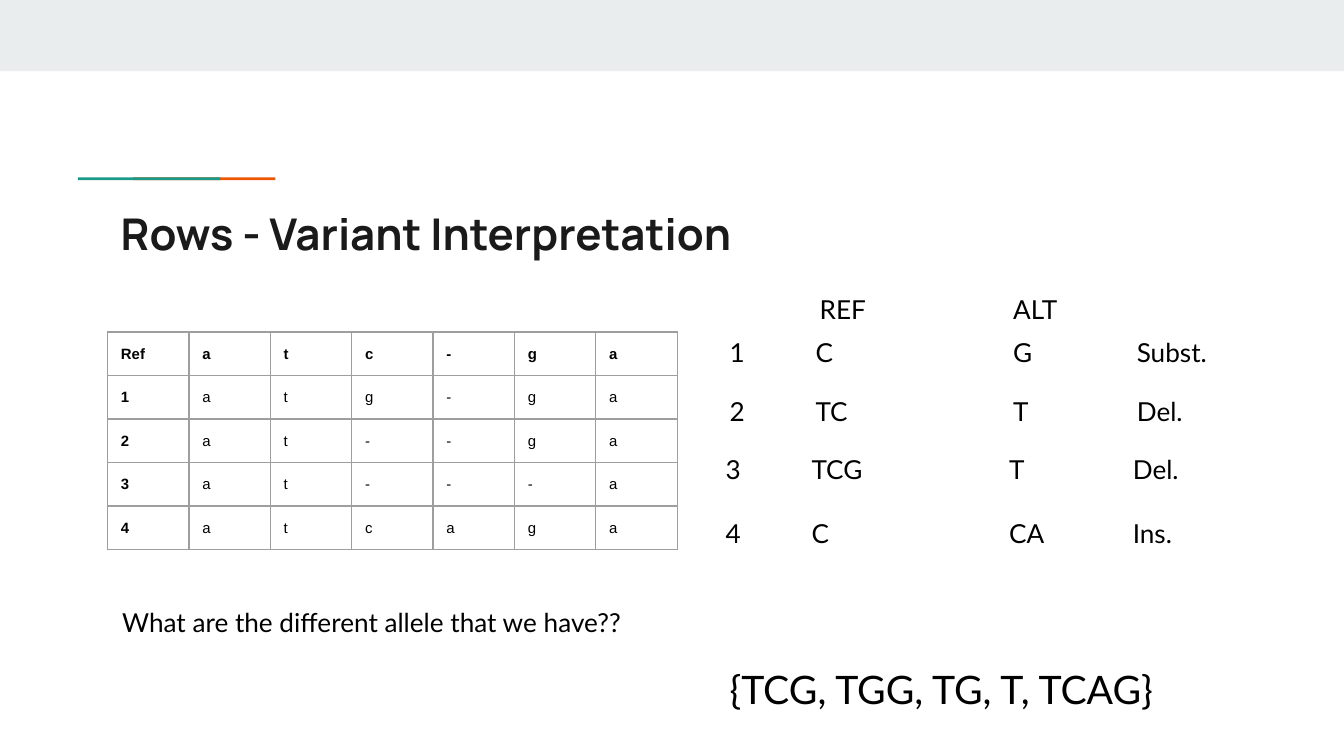
from lxml import etree
from pptx import Presentation
from pptx.dml.color import RGBColor
from pptx.enum.shapes import MSO_SHAPE
from pptx.oxml.ns import qn
from pptx.util import Inches, Pt

RECTANGLE = MSO_SHAPE.RECTANGLE
COLORS = {"band": "E9EDEE", "orange": "EB5600", "teal": "1A9988",
          "title": "1A1A1A", "text": "000000", "border": "9E9E9E"}
WIDTH = 10
HEIGHT = WIDTH * 9 / 16

TITLE = "Rows - Variant Interpretation"
QUESTION = "What are the different allele that we have??"
ALLELES = "{TCG, TGG, TG, T, TCAG}"
ALIGNMENT = [
    ("Ref", "a", "t", "c", "-", "g", "a"),
    ("1", "a", "t", "g", "-", "g", "a"),
    ("2", "a", "t", "-", "-", "g", "a"),
    ("3", "a", "t", "-", "-", "-", "a"),
    ("4", "a", "t", "c", "a", "g", "a"),
]
HEADINGS = [("REF", 6), ("ALT", 7.44)]
VARIANTS = [
    ("1", "C", "G", "Subst."),
    ("2", "TC", "T", "Del."),
    ("3", "TCG", "T", "Del."),
    ("4", "C", "CA", "Ins."),
]
VARIANT_COLUMNS = [(5.33, 0.29), (5.97, 1.12), (7.44, 1.12), (8.36, 1.12)]
VARIANT_ROWS = [(2.4, 0), (2.84, 0), (3.27, -0.03), (3.75, -0.03)]
TABLE_LEFT, TABLE_TOP, TABLE_WIDTH, TABLE_HEIGHT = 0.8, 2.47, 4.24, 1.62


def color(name):
    return RGBColor.from_string(COLORS[name])


def add_bar(page, left, top, width, height, fill):
    bar = page.shapes.add_shape(
        RECTANGLE, Inches(left), Inches(top), Inches(width), Inches(height))
    bar.shadow.inherit = False
    bar.fill.solid()
    bar.fill.fore_color.rgb = color(fill)
    bar.line.fill.background()


def set_margins(holder, bottom=0.1):
    holder.margin_left = holder.margin_right = holder.margin_top = Inches(0.1)
    holder.margin_bottom = Inches(bottom)


def write(frame, text, size, font="Lato", ink="text", bold=False):
    para = frame.paragraphs[0]
    para.text = text
    para.font.size = Pt(size)
    para.font.name = font
    para.font.bold = bold
    para.font.color.rgb = color(ink)


def add_text(page, text, left, top, width, height=0.44, size=14, **style):
    box = page.shapes.add_textbox(
        Inches(left), Inches(top), Inches(width), Inches(height))
    set_margins(box.text_frame)
    box.text_frame.word_wrap = True
    write(box.text_frame, text, size, **style)


def add_borders(cell):
    properties = cell._tc.get_or_add_tcPr()
    for position, side in enumerate(("lnL", "lnR", "lnT", "lnB")):
        line = etree.Element(qn(f"a:{side}"), w=str(Pt(0.75)))
        fill = etree.SubElement(line, qn("a:solidFill"))
        etree.SubElement(fill, qn("a:srgbClr"), val=COLORS["border"])
        properties.insert(position, line)


def add_alignment(page):
    rows, columns = len(ALIGNMENT), len(ALIGNMENT[0])
    table = page.shapes.add_table(
        rows, columns, Inches(TABLE_LEFT), Inches(TABLE_TOP),
        Inches(TABLE_WIDTH), Inches(TABLE_HEIGHT)).table
    table.first_row = table.horz_banding = False
    for r, values in enumerate(ALIGNMENT):
        for c, value in enumerate(values):
            cell = table.cell(r, c)
            set_margins(cell, bottom=0.09)
            cell.fill.background()
            write(cell.text_frame, value, 8, font="Arial", bold=r == 0 or c == 0)
            add_borders(cell)


def add_variants(page):
    for heading, left in HEADINGS:
        add_text(page, heading, left, 2.08, 1.12)
    for values, (top, shift) in zip(VARIANTS, VARIANT_ROWS):
        for value, (left, width) in zip(values, VARIANT_COLUMNS):
            add_text(page, value, left + shift, top, width)


def main():
    deck = Presentation()
    deck.slide_width, deck.slide_height = Inches(WIDTH), Inches(HEIGHT)
    page = deck.slides.add_slide(deck.slide_layouts[6])
    add_bar(page, 0, 0, WIDTH, 0.53, "band")
    add_bar(page, 0.99, 1.32, 1.06, 0.02, "orange")
    add_bar(page, 0.58, 1.32, 1.06, 0.02, "teal")
    add_text(page, TITLE, 0.8, 1.44, 8.41, 0.59, 23.4,
             font="Manrope", ink="title", bold=True)
    add_alignment(page)
    add_variants(page)
    add_text(page, QUESTION, 0.81, 4.41, 4.27)
    add_text(page, ALLELES, 5.33, 4.85, 3.87, 0.56, 21)
    deck.save("out.pptx")


if __name__ == "__main__":
    main()
